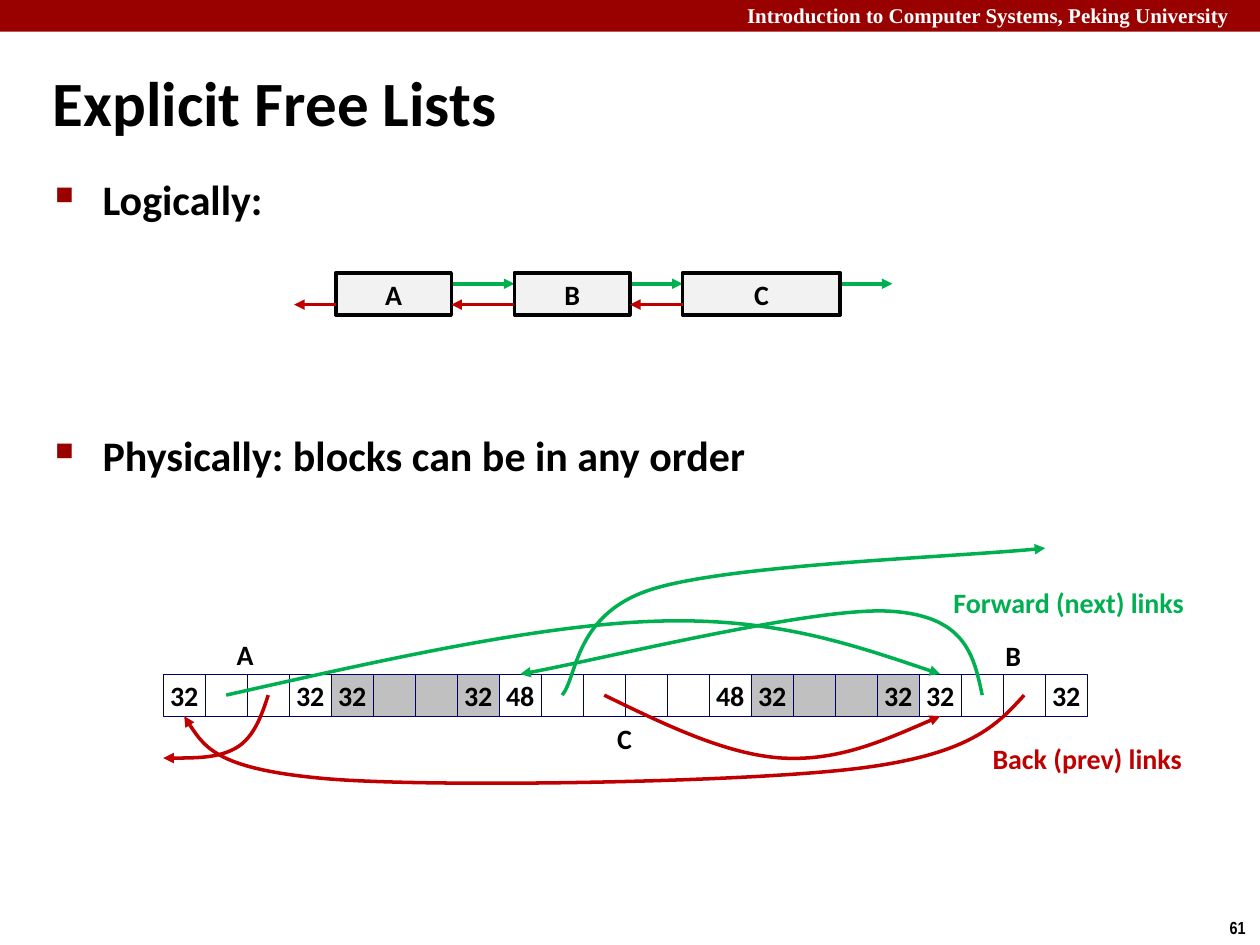
from dataclasses import dataclass

from lxml import etree
from pptx import Presentation
from pptx import util as u
from pptx.dml import color
from pptx.enum import shapes, text
from pptx.oxml import ns


@dataclass(frozen=True)
class Theme:
    """Colours, fonts and type sizes of the slide."""
    accent: str = "990000"
    ink: str = "000000"
    white: str = "FFFFFF"
    node: str = "F2F2F2"
    allocated: str = "C0C0C0"
    grid: str = "000066"
    forward: str = "00B050"
    back: str = "C00000"
    font: str = "Calibri"
    header_font: str = "Times New Roman"
    number_font: str = "Arial Narrow"
    title_size: int = 36
    body_size: int = 24
    label_size: int = 16
    header_size: int = 12
    number_size: int = 10
    link_width: int = 2


THEME = Theme()
CELL = 2.54 / 3
HEAP_LEFT, HEAP_TOP = 3.29, 13.59
NODE_TOP, NODE_HEIGHT = 5.5, 0.85
NODES = [("A", 6.77, 2.33), ("B", 10.37, 2.33), ("C", 13.76, 3.18)]
BLOCKS = [("32", 4, True), ("32", 4, False), ("48", 6, True),
          ("32", 4, False), ("32", 4, True)]
FORWARD_LINKS = [
    [(1.5, 0.5), (5.19, -0.33), (8.91, -1.17), (11.75, -1.26),
     (14.58, -1.35), (16.53, -0.66), (18.5, 0)],
    [(19.5, 0.5), (19.3, -0.45), (19.1, -1.41), (17.25, -1.5),
     (15.42, -1.59), (9.96, -0.24), (8.5, 0)],
    [(9.5, 0.5), (9.87, 0.06), (9.78, -1.47), (11.7, -2.04),
     (13.6, -2.61), (19.02, -2.79), (21, -3)],
]
BACK_LINKS = [
    [(20.5, 0.5), (19.86, 1.2), (19.23, 1.92), (16.5, 2.25), (13.74, 2.58),
     (6.66, 2.7), (4, 2.5), (1.32, 2.28), (0.9, 1.65), (0.5, 1)],
    [(10.5, 0.5), (11.94, 1.2), (13.41, 1.92), (14.75, 2),
     (16.08, 2.07), (17.28, 1.53), (18.5, 1)],
    [(2.5, 0.5), (2.34, 1), (2.16, 1.5), (1.75, 1.75),
     (1.32, 2), (0.66, 2), (0, 2)],
]


def rgb(value):
    """Turn a hex string into a colour."""
    return color.RGBColor.from_string(value)


def add_run(paragraph, words, size=THEME.label_size, ink=THEME.ink, font=THEME.font):
    """Add one bold run to a paragraph."""
    run = paragraph.add_run()
    run.text = words
    run.font.size = u.Pt(size)
    run.font.name = font
    run.font.bold = True
    run.font.color.rgb = rgb(ink)


def add_label(slide, words, left, top, width, height=0.94, wrap=False, **style):
    """Add a text box holding one line."""
    label = slide.shapes.add_textbox(u.Cm(left), u.Cm(top), u.Cm(width), u.Cm(height))
    label.text_frame.word_wrap = wrap
    add_run(label.text_frame.paragraphs[0], words, **style)


def add_box(slide, left, top, width, height, fill, line=None, weight=0.25, words=""):
    """Add a rectangle with an optional outline and centred text."""
    box = slide.shapes.add_shape(shapes.MSO_SHAPE.RECTANGLE, u.Cm(left), u.Cm(top),
                                 u.Cm(width), u.Cm(height))
    box.shadow.inherit = False
    box.fill.solid()
    box.fill.fore_color.rgb = rgb(fill)
    if line:
        box.line.color.rgb = rgb(line)
        box.line.width = u.Pt(weight)
    else:
        box.line.fill.background()
    if words:
        frame = box.text_frame
        frame.word_wrap = False
        frame.vertical_anchor = text.MSO_ANCHOR.MIDDLE
        frame.paragraphs[0].alignment = text.PP_ALIGN.CENTER
        add_run(frame.paragraphs[0], words)


def style_link(link, ink):
    """Give a link its colour, width and arrowhead."""
    link.line.color.rgb = rgb(ink)
    link.line.width = u.Pt(THEME.link_width)
    etree.SubElement(link.line._get_or_add_ln(), ns.qn("a:tailEnd"), type="triangle")


def add_arrow(slide, start, end, y, ink):
    """Add a straight horizontal link."""
    arrow = slide.shapes.add_connector(shapes.MSO_CONNECTOR.STRAIGHT, u.Cm(start),
                                       u.Cm(y), u.Cm(end), u.Cm(y))
    style_link(arrow, ink)
    etree.SubElement(arrow._element.spPr, ns.qn("a:effectLst"))


def add_curve(slide, points, ink):
    """Add a Bezier link whose points are measured in heap cells."""
    start, *rest = [(u.Cm(HEAP_LEFT + x * CELL), u.Cm(HEAP_TOP + y * CELL))
                    for x, y in points]
    builder = slide.shapes.build_freeform(*start)
    builder.add_line_segments(rest, close=False)
    curve = builder.convert_to_shape()
    curve.shadow.inherit = False
    curve.fill.background()
    style_link(curve, ink)
    outline = curve._element.find(".//" + ns.qn("a:path"))
    segments = outline.findall(ns.qn("a:lnTo"))
    for first in range(0, len(segments), 3):
        bezier = etree.SubElement(outline, ns.qn("a:cubicBezTo"))
        for segment in segments[first:first + 3]:
            bezier.append(segment[0])
            outline.remove(segment)


def add_header(slide):
    """Add the course banner and the page number."""
    add_box(slide, 0, 0, 25.4, 0.64, THEME.accent)
    add_label(slide, "Introduction to Computer Systems, Peking University",
              14.81, -0.08, 10.77, 0.76, wrap=True, size=THEME.header_size,
              ink=THEME.white, font=THEME.header_font)
    add_label(slide, "61", 24.54, 18.36, 0.86, 0.69, size=THEME.number_size,
              font=THEME.number_font)


def set_title(slide, words):
    """Place and format the title."""
    title = slide.shapes.title
    title.left, title.top, title.width, title.height = map(u.Cm, (0.81, 1.35, 16.87, 1.6))
    title.text_frame.vertical_anchor = text.MSO_ANCHOR.MIDDLE
    heading = title.text_frame.paragraphs[0]
    heading.alignment = text.PP_ALIGN.LEFT
    heading.line_spacing = 0.87
    add_run(heading, words, THEME.title_size)


def add_bullets(slide, items, gap):
    """Add bulleted lines set apart by a gap in points."""
    body = slide.shapes.add_textbox(u.Cm(0.86), u.Cm(3.53), u.Cm(23.09), u.Cm(6.76))
    frame = body.text_frame
    frame.word_wrap = True
    for index, words in enumerate(items):
        item = frame.add_paragraph() if index else frame.paragraphs[0]
        props = item._p.get_or_add_pPr()
        props.set("marL", str(u.Cm(0.96)))
        props.set("indent", str(u.Cm(-0.96)))
        tint = etree.SubElement(props, ns.qn("a:buClr"))
        etree.SubElement(tint, ns.qn("a:srgbClr"), val=THEME.accent)
        etree.SubElement(props, ns.qn("a:buSzPct"), val="60000")
        etree.SubElement(props, ns.qn("a:buChar"), char="■")
        item.line_spacing = 0.85
        if index:
            item.space_before = u.Pt(gap)
        add_run(item, words, THEME.body_size)


def add_logical_list(slide):
    """Draw the doubly linked nodes in list order."""
    starts = [left for _, left, _ in NODES]
    ends = [left + width for _, left, width in NODES]
    for start, end in zip(ends, starts[1:] + [17.99]):
        add_arrow(slide, start, end, 5.72, THEME.forward)
    for name, left, width in NODES:
        add_box(slide, left, NODE_TOP, width, NODE_HEIGHT, THEME.node, THEME.ink, 2, name)
    for start, end in zip(starts, [5.93] + ends):
        add_arrow(slide, start, end, 6.14, THEME.back)


def add_heap(slide):
    """Draw the heap cells with their links and labels."""
    column = 0
    for size, cells, is_free in BLOCKS:
        for cell in range(cells):
            add_box(slide, HEAP_LEFT + column * CELL, HEAP_TOP, CELL, CELL,
                    THEME.white if is_free else THEME.allocated, THEME.grid,
                    words=size if cell in (0, cells - 1) else "")
            column += 1
    for links, ink in ((FORWARD_LINKS, THEME.forward), (BACK_LINKS, THEME.back)):
        for points in links:
            add_curve(slide, points, ink)
    add_label(slide, "Forward (next) links", 18.97, 11.68, 5.21, ink=THEME.forward)
    add_label(slide, "Back (prev) links", 19.76, 14.83, 4.37, ink=THEME.back)
    for name, left, top in (("A", 4.52, 12.73), ("B", 20.02, 12.75), ("C", 12.19, 14.43)):
        add_label(slide, name, left, top, 0.84)


def main():
    """Build and save the slide."""
    deck = Presentation()
    deck.slide_width, deck.slide_height = u.Cm(25.4), u.Cm(19.05)
    slide = deck.slides.add_slide(deck.slide_layouts.get_by_name("Title Only"))
    add_header(slide)
    set_title(slide, "Explicit Free Lists")
    add_bullets(slide, ["Logically:", "Physically: blocks can be in any order"], 121.5)
    add_logical_list(slide)
    add_heap(slide)
    deck.save("out.pptx")


if __name__ == "__main__":
    main()
